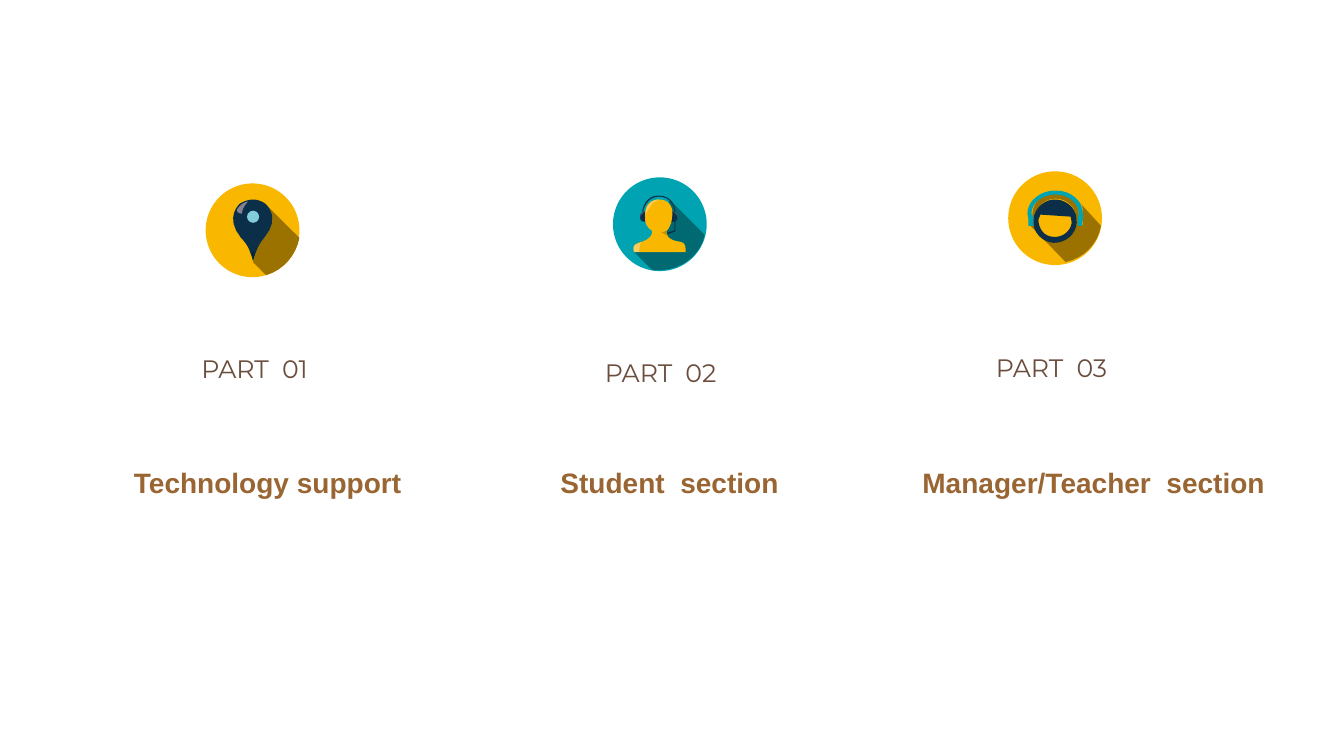
from pptx import Presentation
from pptx.dml.color import RGBColor
from pptx.enum.shapes import MSO_SHAPE as SHAPE
from pptx.enum.text import MSO_AUTO_SIZE as AUTO_SIZE
from pptx.util import Inches, Pt

GOLD, TEAL, NAVY = "F9B700", "00A3B1", "0B2F49"
BROWN, TAN = "6B4D3D", "996633"
SHADE, TEAL_SHADE, LIGHT, GREY = "9B7100", "006972", "FBCD65", "585A6E"
DISC = 0.93


def rgb(color):
    return RGBColor.from_string(color)


def paint(sp, color):
    sp.shadow.inherit = False
    sp.fill.solid()
    sp.fill.fore_color.rgb = rgb(color)
    sp.line.fill.background()


def add_circle(group, left, top, size, color):
    sp = group.shapes.add_shape(SHAPE.OVAL, Inches(left), Inches(top), Inches(size), Inches(size))
    paint(sp, color)


def flatten(path, steps=8):
    points = [path[0]]
    for part in path[1:]:
        if len(part) == 2:
            points.append(part)
            continue
        x0, y0 = points[-1]
        x1, y1, x2, y2, x3, y3 = part
        for i in range(1, steps + 1):
            t = i / steps
            a, b, c, d = (1 - t) ** 3, 3 * t * (1 - t) ** 2, 3 * t * t * (1 - t), t ** 3
            points.append((a * x0 + b * x1 + c * x2 + d * x3, a * y0 + b * y1 + c * y2 + d * y3))
    return points


def add_outline(group, left, top, color, *paths):
    builder = None
    for path in paths:
        points = [(Inches(left + x / 100), Inches(top + y / 100)) for x, y in flatten(path)]
        if builder is None:
            builder = group.shapes.build_freeform(*points[0], scale=1.0)
        else:
            builder.move_to(*points[0])
        builder.add_line_segments(points[1:], close=True)
    paint(builder.convert_to_shape(), color)


def add_pin_icon(s, left, top):
    group = s.shapes.add_group_shape()
    add_circle(group, left, top, DISC, GOLD)
    shadow = [(62, 23), (66, 28, 71, 39, 58, 54), (53, 60, 51, 65, 50, 68), (47, 78), (60, 91),
              (77, 86, 90, 71, 93, 54)]
    pin = [(59, 20), (59, 20, 54, 16, 47, 16), (40, 16, 34, 20, 34, 20), (34, 20, 18, 33, 35, 54),
           (41, 60, 43, 65, 44, 68), (44, 68, 46, 73, 47, 77), (48, 73, 50, 68, 50, 68),
           (51, 65, 53, 60, 58, 54), (76, 33, 59, 20, 59, 20)]
    gloss = [(42, 18), (35, 19, 31, 26, 31, 26), (31, 30, 36, 30, 36, 30), (36, 24, 42, 18, 42, 18)]
    tip = [(45, 68), (47, 76), (49, 68), (47, 69)]
    for color, path in ((SHADE, shadow), (NAVY, pin), ("848190", gloss), ("03263E", tip)):
        add_outline(group, left, top, color, path)
    add_circle(group, left + 0.41, top + 0.27, 0.12, "83CDDA")


def add_headset_icon(s, left, top):
    group = s.shapes.add_group_shape()
    add_circle(group, left, top, DISC, TEAL)
    shadow = [(56, 22), (91, 57), (87, 77, 68, 92, 46, 92), (39, 92), (21, 74), (50, 60)]
    person = [(67, 64), (52, 62, 53, 55, 53, 53), (55, 52, 57, 47, 58, 44), (60, 38, 59, 34, 59, 34),
              (58, 26, 53, 22, 46, 22), (38, 22, 33, 26, 32, 34), (31, 39, 32, 44, 32, 44),
              (34, 51, 39, 53, 39, 53), (39, 60, 32, 63, 25, 65), (18, 67, 21, 74, 21, 74),
              (72, 74), (72, 69, 72, 65, 67, 64)]
    headset = [(32, 44), (31, 39, 32, 34, 32, 34), (30, 34), (31, 29, 34, 20, 45, 19),
               (59, 19, 61, 31, 61, 34), (59, 34), (59, 34, 59, 41, 58, 44), (61, 44),
               (61, 46, 61, 51, 61, 52), (60, 53), (56, 54), (54, 54), (54, 55), (55, 56), (61, 54),
               (62, 54, 62, 51, 62, 51), (62, 43), (63, 43, 64, 42, 64, 40), (64, 37, 63, 36, 62, 35),
               (62, 33, 61, 18, 45, 18), (33, 18, 29, 30, 29, 35), (27, 36, 27, 37, 27, 40),
               (27, 44, 31, 44, 32, 44)]
    left_pad = [(31, 34), (30, 34, 27, 35, 27, 40), (27, 40, 28, 35, 32, 34)]
    right_pad = [(60, 34), (61, 34, 64, 35, 64, 40), (64, 40, 63, 35, 59, 34)]
    face = [(46, 22), (43, 22, 33, 23, 32, 38), (32, 38, 37, 24, 46, 22)]
    neck = [(53, 53), (48, 55), (48, 55, 51, 55, 55, 59), (54, 58, 53, 56, 53, 53)]
    shoulder = [(28, 64), (27, 65, 26, 65, 25, 66), (18, 67, 21, 74, 21, 74), (26, 74),
                (26, 69, 27, 66, 28, 64)]
    for color, path in ((TEAL_SHADE, shadow), (GOLD, person), (NAVY, headset), (GREY, left_pad),
                        (GREY, right_pad), (LIGHT, face), ("C39000", neck), (LIGHT, shoulder)):
        add_outline(group, left, top, color, path)


def add_headphones_icon(s, left, top):
    group = s.shapes.add_group_shape()
    add_circle(group, left, top, DISC, GOLD)
    shadow = [(47, 22), (34, 22, 24, 31, 24, 42), (24, 45), (25, 47), (25, 53), (21, 53), (57, 90),
              (75, 86, 89, 72, 92, 54), (70, 30), (74, 33, 74, 37, 74, 42), (74, 53), (69, 53),
              (69, 47), (70, 42), (70, 31, 60, 22, 47, 22)]
    face = [(47, 70), (35, 70, 26, 60, 26, 49), (26, 37, 35, 27, 47, 27), (59, 27, 68, 37, 68, 49),
            (68, 60, 59, 70, 47, 70)]
    head = [(48, 28), (37, 27, 26, 36, 25, 48), (24, 60, 33, 70, 45, 71), (57, 71, 67, 63, 68, 51),
            (69, 39, 60, 29, 48, 28)]
    cheeks = [(63, 51), (62, 59, 54, 66, 45, 65), (36, 65, 30, 57, 30, 48), (32, 43), (62, 45)]
    band = [(74, 42), (74, 29, 62, 19, 47, 19), (32, 19, 19, 29, 19, 42), (20, 47), (20, 54), (25, 54),
            (25, 45), (23, 42), (23, 31, 34, 23, 47, 23), (59, 23, 70, 31, 70, 42), (69, 45),
            (69, 54), (73, 54), (74, 48)]
    add_outline(group, left, top, SHADE, shadow, face)
    add_outline(group, left, top, NAVY, head, cheeks)
    add_outline(group, left, top, TEAL, band)


def add_label(s, text, left, top, width, font, size, color, bold=False):
    sp = s.shapes.add_textbox(Inches(left), Inches(top), Inches(width), Inches(0.49))
    tf = sp.text_frame
    tf.word_wrap = True
    tf.auto_size = AUTO_SIZE.SHAPE_TO_FIT_TEXT
    tf.text = text
    p = tf.paragraphs[0]
    p.line_spacing = 1.3
    r = p.runs[0]
    r.font.name, r.font.size, r.font.bold = font, Pt(size), bold
    r.font.color.rgb = rgb(color)


def add_part(s, add_icon, icon_at, part, part_box, section, section_box):
    add_icon(s, *icon_at)
    add_label(s, part, *part_box, "Montserrat", 18, BROWN)
    add_label(s, section, *section_box, "Arial", 20, TAN, bold=True)


def main():
    prs = Presentation()
    prs.slide_width, prs.slide_height = Inches(13.33), Inches(7.5)
    s = prs.slides.add_slide(prs.slide_layouts[6])
    add_part(s, add_pin_icon, (2.04, 1.82), "PART  01", (1.9, 3.37, 1.43),
             "Technology support", (1.23, 4.47, 3.14))
    add_part(s, add_headset_icon, (6.08, 1.76), "PART  02", (5.9, 3.41, 1.65),
             "Student  section", (5.46, 4.47, 2.82))
    add_part(s, add_headphones_icon, (10, 1.7), "PART  03", (9.78, 3.36, 1.56),
             "Manager/Teacher  section", (9.05, 4.47, 4.11))
    prs.save("out.pptx")


if __name__ == "__main__":
    main()
